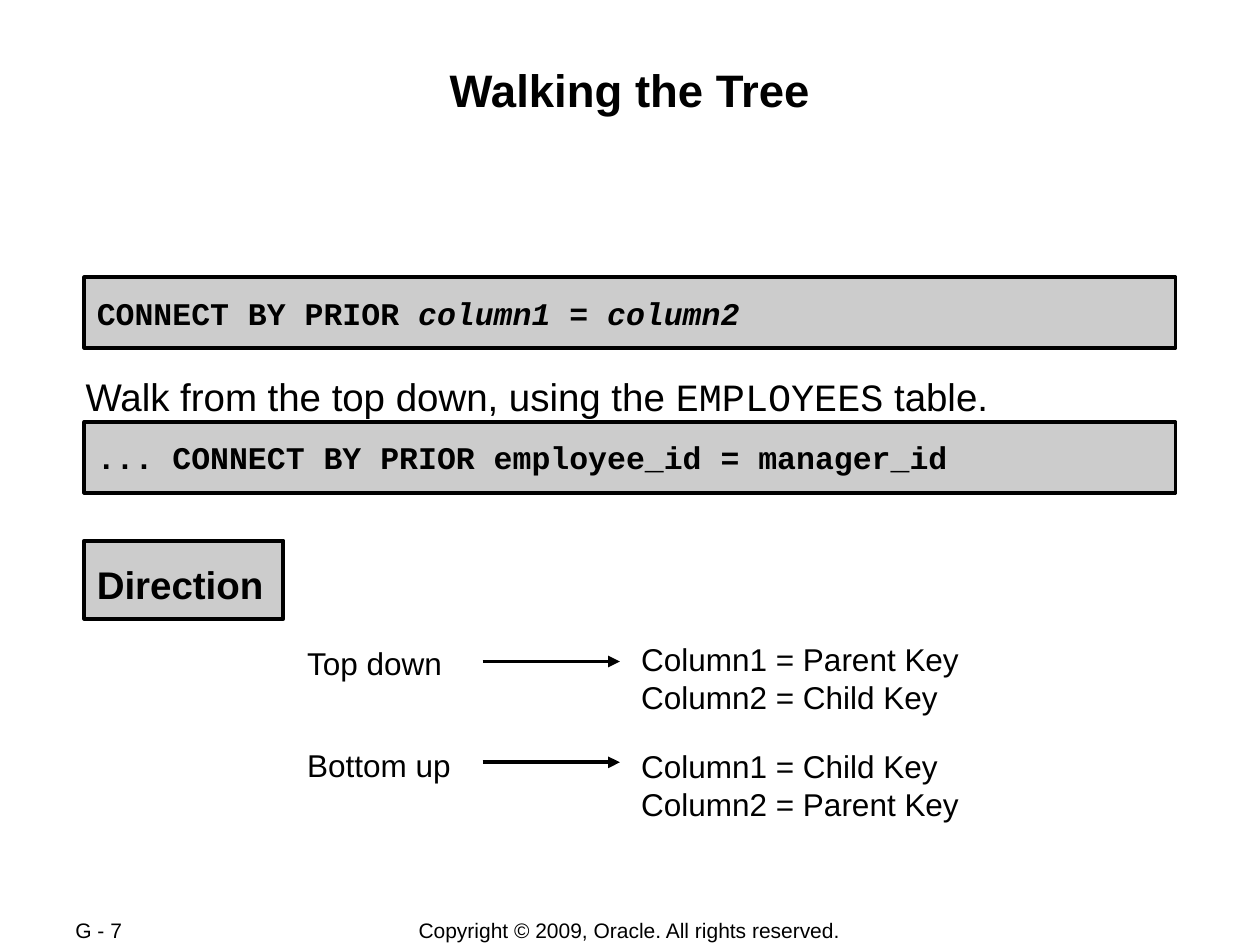
import pptx
import pptx.dml.color
import pptx.enum.shapes
import pptx.enum.text
import pptx.oxml
import pptx.oxml.ns
import pptx.util
from pptx.util import Inches

ALIGN = pptx.enum.text.PP_ALIGN
ANCHOR = pptx.enum.text.MSO_ANCHOR
SANS, MONO = "Arial", "Courier New"
BLACK, GREY = "000000", "CCCCCC"


def color(hex_value):
    return pptx.dml.color.RGBColor.from_string(hex_value)


def write(shape, lines, size, font=SANS, bold=None, align=ALIGN.LEFT,
          anchor=ANCHOR.TOP, inset=(0.1, 0.05)):
    """Fill a shape with lines; each is a list of (text, font overrides) runs."""
    frame = shape.text_frame
    frame.word_wrap = True
    frame.vertical_anchor = anchor
    frame.margin_left = frame.margin_right = Inches(inset[0])
    frame.margin_top = frame.margin_bottom = Inches(inset[1])
    for index, runs in enumerate(lines):
        paragraph = frame.paragraphs[0] if index == 0 else frame.add_paragraph()
        paragraph.alignment = align
        paragraph.font.size = pptx.util.Pt(size)
        paragraph.font.bold = bold
        paragraph.font.color.rgb = color(BLACK)
        if not any("name" in overrides for _, overrides in runs):
            paragraph.font.name = font
        for text, overrides in runs:
            run = paragraph.add_run()
            run.text = text
            for attribute, value in overrides.items():
                setattr(run.font, attribute, value)


def add_text(slide, box, lines, size, **style):
    write(slide.shapes.add_textbox(*map(Inches, box)), lines, size, **style)


def add_panel(slide, box, runs, size, font):
    panel = slide.shapes.add_shape(
        pptx.enum.shapes.MSO_SHAPE.RECTANGLE, *map(Inches, box))
    panel.shadow.inherit = False
    panel.fill.solid()
    panel.fill.fore_color.rgb = color(GREY)
    panel.line.color.rgb = color(BLACK)
    panel.line.width = pptx.util.Pt(2.25)
    write(panel, [runs], size, font=font, bold=True, anchor=ANCHOR.MIDDLE)
    return panel


def add_arrow(slide, left, y, length):
    arrow = slide.shapes.add_connector(
        pptx.enum.shapes.MSO_CONNECTOR.STRAIGHT,
        Inches(left), Inches(y), Inches(left + length), Inches(y))
    arrow.line.color.rgb = color(BLACK)
    arrow.line.width = pptx.util.Pt(2.25)
    head = pptx.oxml.parse_xml(
        f'<a:tailEnd {pptx.oxml.ns.nsdecls("a")} type="triangle"/>')
    arrow.line._get_or_add_ln().append(head)
    properties = arrow._element.spPr
    properties.append(pptx.oxml.parse_xml(
        f'<a:effectLst {pptx.oxml.ns.nsdecls("a")}/>'))


def add_syntax(slide, left, top, width):
    height = 0.56
    italic = {"italic": True}
    add_panel(slide, (left, top, width, height),
              [("CONNECT BY PRIOR ", {}), ("column1", italic),
               (" = ", {}), ("column2", italic)], 18, MONO)
    add_text(slide, (left, top + 0.75, width, 0.37),
             [[("Walk from the top down, using the ", {"name": SANS}),
               ("EMPLOYEES", {"name": MONO}),
               (" table.", {"name": SANS})]], 22, inset=(0.01, 0.01))
    add_panel(slide, (left, top + 1.15, width, height),
              [("... CONNECT BY PRIOR employee_id = manager_id", {})], 18, MONO)


def add_directions(slide, left, top):
    heading = add_panel(slide, (left, top, 1.58, 0.62),
                        [("Direction", {})], 22, SANS)
    heading.text_frame.paragraphs[0].line_spacing = 1.2
    directions = [
        ("Top down", 0.77, 0.74, 0.96, ("Parent Key", "Child Key")),
        ("Bottom up", 1.58, 1.59, 1.76, ("Child Key", "Parent Key")),
    ]
    for name, name_y, keys_y, arrow_y, keys in directions:
        add_text(slide, (left + 1.67, top + name_y, 1.5, 0.4),
                 [[(name, {})]], 18)
        add_arrow(slide, left + 3.16, top + arrow_y, 1.09)
        add_text(slide, (left + 4.32, top + keys_y, 2.72, 0.7),
                 [[(f"Column{number} = {key}", {})]
                  for number, key in enumerate(keys, 1)], 18)


def add_footer(slide, top):
    add_text(slide, (0.5, top, 1.06, 0.2), [[("G - 7", {})]], 12,
             anchor=ANCHOR.MIDDLE)
    add_text(slide, (2.75, top, 4.49, 0.21),
             [[("Copyright © 2009, Oracle. All rights reserved.", {})]], 12,
             align=ALIGN.CENTER, anchor=ANCHOR.MIDDLE)


def main():
    deck = pptx.Presentation()
    deck.slide_width, deck.slide_height = Inches(10), Inches(7.5)
    slide = deck.slides.add_slide(deck.slide_layouts[6])
    left, width = 0.67, 8.66
    add_text(slide, (left, 0.48, width, 0.96), [[("Walking the Tree", {})]], 26,
             bold=True, align=ALIGN.CENTER, inset=(0.01, 0.01))
    add_syntax(slide, left, 2.2, width)
    add_directions(slide, left, 4.29)
    add_footer(slide, 7.28)
    deck.save("out.pptx")


if __name__ == "__main__":
    main()
